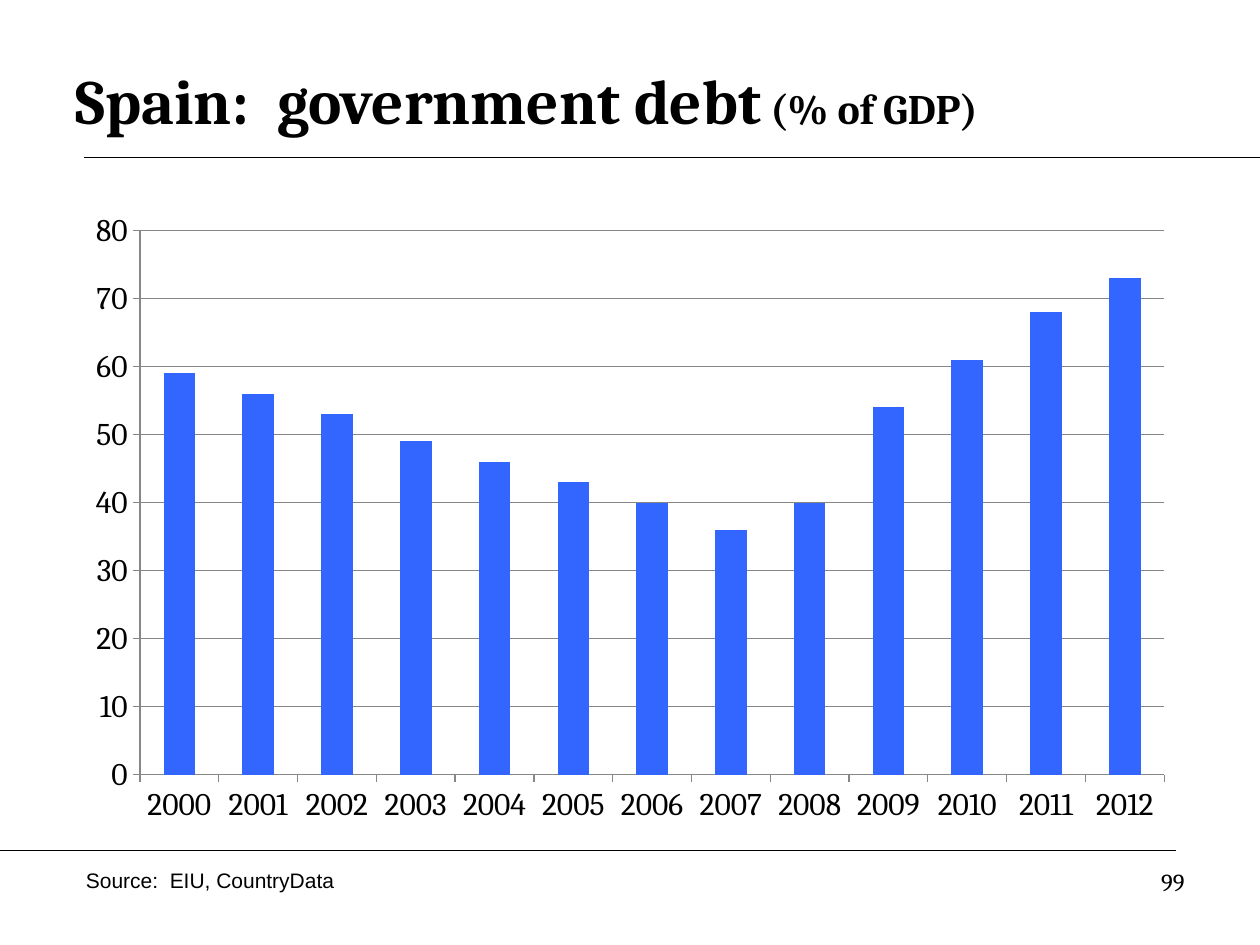
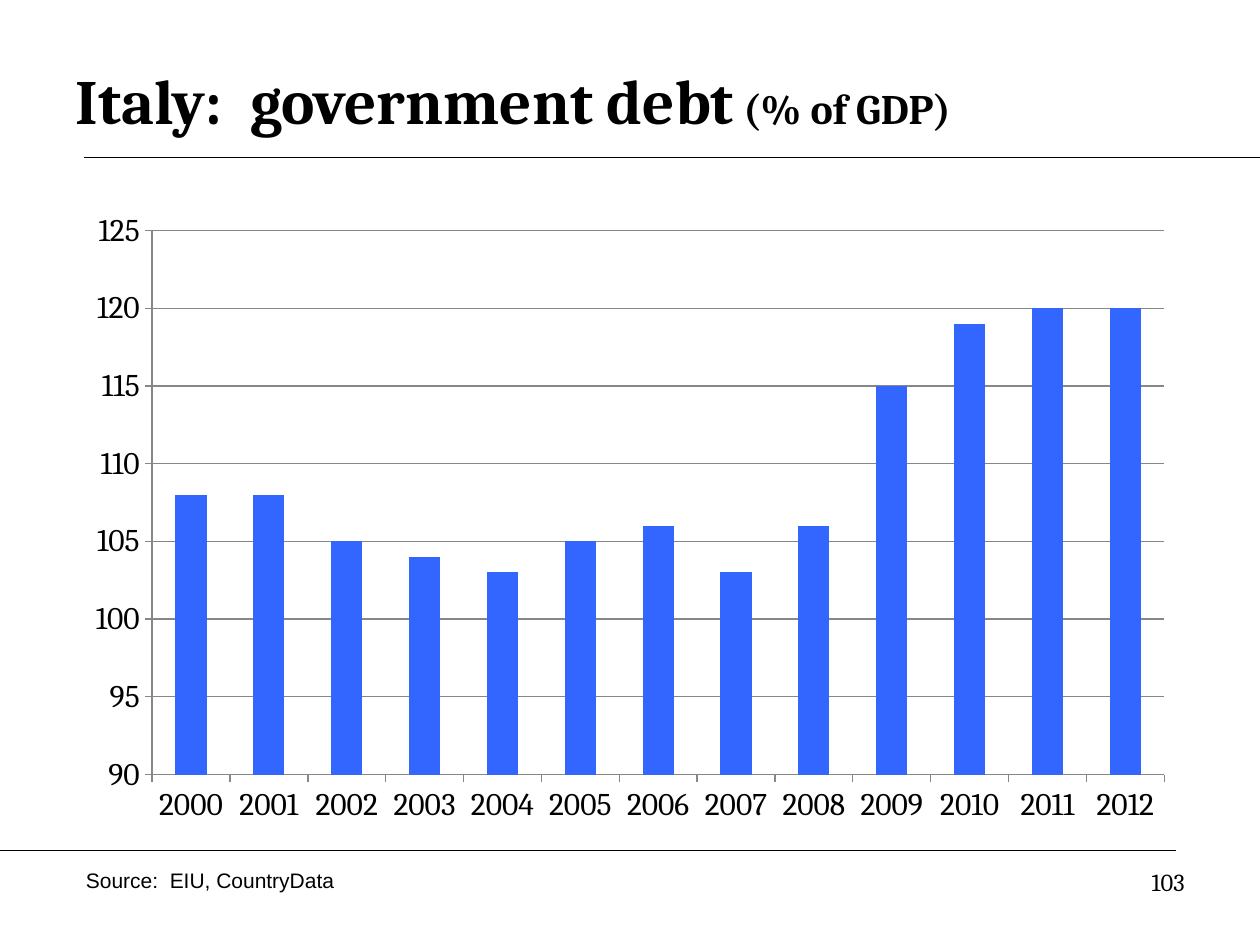
from pptx import Presentation
from pptx.chart.data import CategoryChartData as ChartData
from pptx.dml.color import RGBColor
from pptx.enum.chart import XL_CHART_TYPE as ChartType, XL_TICK_MARK as TickMark
from pptx.enum.shapes import MSO_CONNECTOR as Connector
from pptx.enum.text import MSO_ANCHOR as Anchor, PP_ALIGN as Align
from pptx.oxml.ns import qn
from pptx.util import Pt
from lxml.etree import SubElement

WIDTH, HEIGHT = 720, 540
YEARS = [str(year) for year in range(2000, 2013)]
SOURCE = "Source:  EIU, CountryData"

# Country, page number, debt by year, axis minimum, maximum and step
DEBT_SLIDES = [
    ("Spain", 99, [59, 56, 53, 49, 46, 43, 40, 36, 40, 54, 61, 68, 73], (0, 80, 10)),
    ("Italy", 103,
     [108, 108, 105, 104, 103, 105, 106, 103, 106, 115, 119, 120, 120], (90, 125, 5)),
]


def color(hex_string):
    return RGBColor.from_string(hex_string)


class Deck:
    INK, BAR, GRID = "000000", "3366FF", "878787"
    SERIF, SANS = "Cambria", "Arial"

    def __init__(self):
        self.presentation = Presentation()
        self.presentation.slide_width = Pt(WIDTH)
        self.presentation.slide_height = Pt(HEIGHT)
        self.slide = None

    def style(self, font, size, name, bold=False):
        font.size, font.name, font.bold = Pt(size), name, bold
        font.color.rgb = color(self.INK)

    def add_slide(self):
        title_only = self.presentation.slide_layouts[5]
        self.slide = self.presentation.slides.add_slide(title_only)

    def title(self, text, unit):
        shape = self.slide.shapes.title
        shape.left, shape.top, shape.width, shape.height = Pt(36), Pt(24), Pt(648), Pt(66)
        shape.text_frame.vertical_anchor = Anchor.MIDDLE
        paragraph = shape.text_frame.paragraphs[0]
        paragraph.alignment = Align.LEFT
        for part, size in ((text, 36), (f" {unit}", 24)):
            run = paragraph.add_run()
            run.text = part
            self.style(run.font, size, self.SERIF, bold=True)

    def rule(self, left, right, y):
        line = self.slide.shapes.add_connector(
            Connector.STRAIGHT, Pt(left), Pt(y), Pt(right), Pt(y))
        line.line.color.rgb = color(self.INK)
        line.line.width = Pt(0.75)
        SubElement(line._element.spPr, qn("a:effectLst"))

    def text(self, text, left, top, width, height, size, name, align=Align.LEFT):
        box = self.slide.shapes.add_textbox(Pt(left), Pt(top), Pt(width), Pt(height))
        box.text_frame.word_wrap = True
        box.text_frame.text = text
        paragraph = box.text_frame.paragraphs[0]
        paragraph.alignment = align
        self.style(paragraph.runs[0].font, size, name)

    def frame(self, page):
        self.rule(48, WIDTH, 90)
        self.rule(0, WIDTH - 48, 486)
        self.text(str(page), 516, 492, 168, 37.5, 14, self.SERIF, Align.RIGHT)
        self.text(SOURCE, 42, 492, 348, 21.6, 12, self.SANS)

    def column_chart(self, categories, values, scale):
        data = ChartData()
        data.categories = categories
        data.add_series("Government debt", values)
        chart = self.slide.shapes.add_chart(
            ChartType.COLUMN_CLUSTERED, Pt(42), Pt(114), Pt(636), Pt(364), data).chart
        chart.has_legend = chart.has_title = False
        self.style(chart.font, 18, self.SERIF)

        plot = chart.plots[0]
        plot.gap_width = 150
        plot.vary_by_categories = False
        fill = plot.series[0].format.fill
        fill.solid()
        fill.fore_color.rgb = color(self.BAR)

        value_axis = chart.value_axis
        value_axis.minimum_scale, value_axis.maximum_scale, value_axis.major_unit = scale
        value_axis.has_major_gridlines = True
        lines = [value_axis.major_gridlines.format.line]
        for axis in (chart.category_axis, value_axis):
            axis.major_tick_mark = TickMark.OUTSIDE
            axis.minor_tick_mark = TickMark.NONE
            lines.append(axis.format.line)
        for line in lines:
            line.color.rgb = color(self.GRID)
            line.width = Pt(0.75)


def main():
    deck = Deck()
    for country, page, values, scale in DEBT_SLIDES:
        deck.add_slide()
        deck.frame(page)
        deck.title(f"{country}:  government debt", "(% of GDP)")
        deck.column_chart(YEARS, values, scale)
    deck.presentation.save("out.pptx")


if __name__ == "__main__":
    main()
